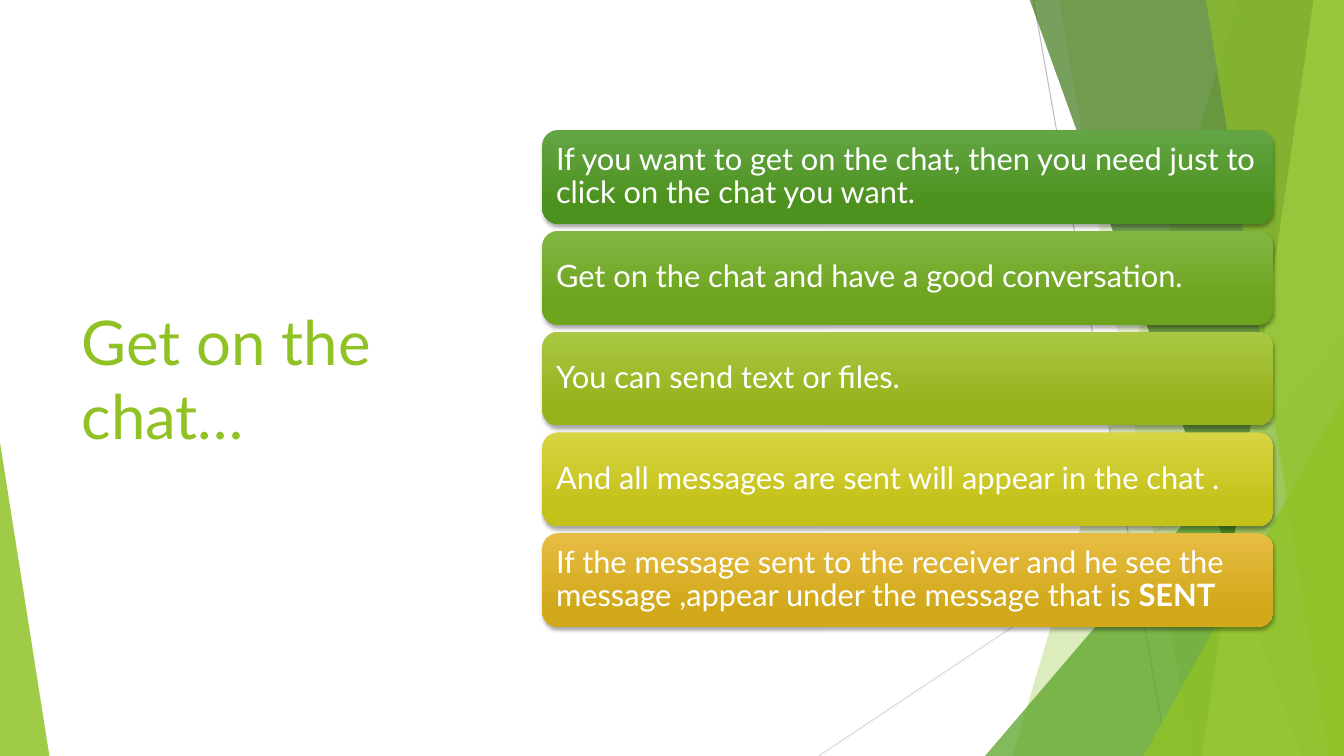
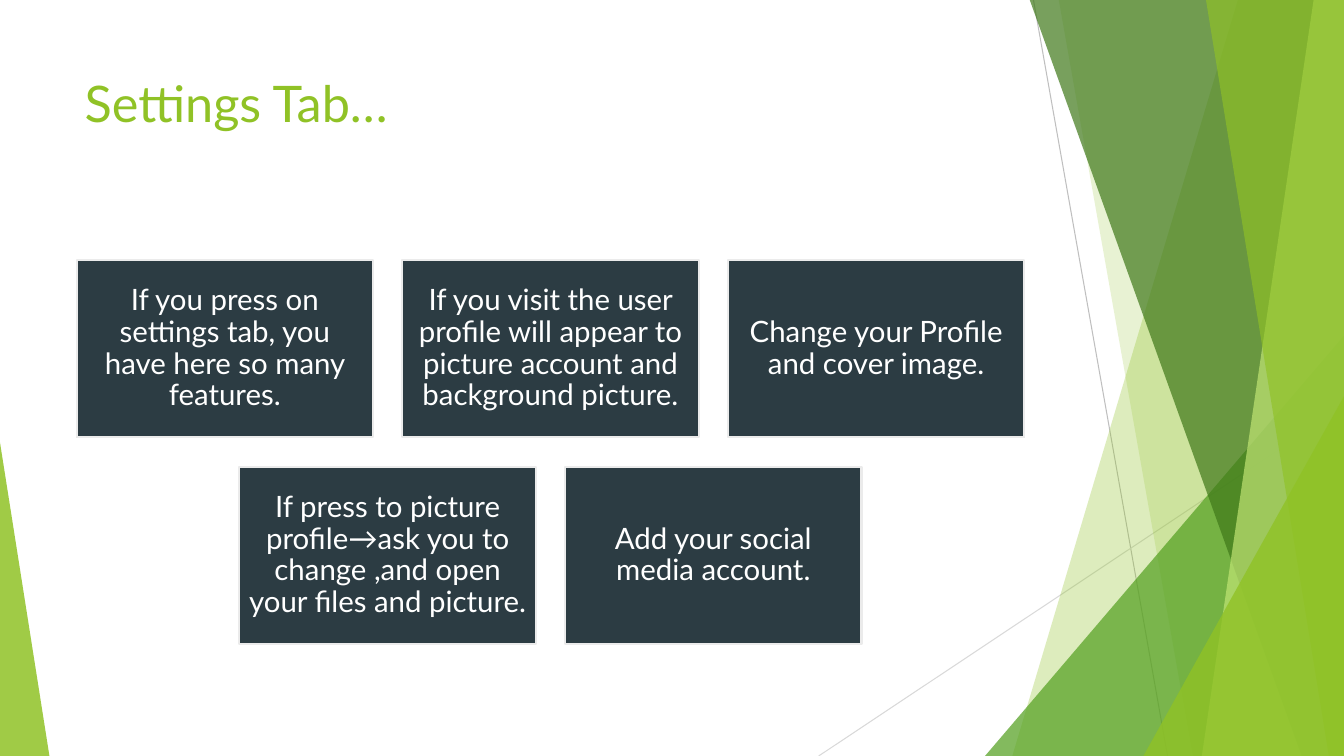
from lxml import etree
from pptx import Presentation
from pptx.dml.color import RGBColor
from pptx.enum import shapes, text
from pptx.oxml import ns
from pptx.util import Inches, Pt

GREEN = "90C226"
WHITE = "FFFFFF"
RIGHT, BOTTOM, BLEED = 13.33, 7.5, -0.01
color = RGBColor.from_string


def paint(shape, fill, opacity):
    shape.shadow.inherit = False
    shape.line.fill.background()
    shape.fill.solid()
    shape.fill.fore_color.rgb = color(fill)
    fill_color = shape.element.spPr.find(".//" + ns.qn("a:srgbClr"))
    etree.SubElement(fill_color, ns.qn("a:alpha")).set("val", str(opacity * 1000))


def write(shape, words, size, fill, align, anchor, bold_end=""):
    frame = shape.text_frame
    frame.word_wrap = True
    frame.auto_size = text.MSO_AUTO_SIZE.NONE
    frame.vertical_anchor = anchor
    paragraph = frame.paragraphs[0]
    paragraph.alignment = align
    paragraph.font.name = "Lato"
    paragraph.font.size = Pt(size)
    paragraph.font.color.rgb = color(fill)
    paragraph.add_run().text = words
    if bold_end:
        run = paragraph.add_run()
        run.text = bold_end
        run.font.bold = True
    return frame


presentation = Presentation()
presentation.slide_width = Inches(RIGHT)
presentation.slide_height = Inches(BOTTOM)
master = presentation.slide_master
layout = presentation.slide_layouts.get_by_name("Title Only")

titles = [
    ("Get on the chat…", 44, (0.71, 1.51, 3.88, 4.48), text.MSO_ANCHOR.MIDDLE),
    ("Settings Tab…", 36, (0.74, 0.67, 9.4, 1.44), text.MSO_ANCHOR.TOP),
]
slides = []
for words, size, box, anchor in titles:
    slide = presentation.slides.add_slide(layout)
    title = slide.shapes.title
    title.left, title.top, title.width, title.height = map(Inches, box)
    write(title, words, size, GREEN, text.PP_ALIGN.LEFT, anchor)
    slides.append(slide)
chat_slide, settings_slide = slides

backdrop = []
hairlines = [(10.25, 0, 11.58, BOTTOM, "BFBFBF"), (RIGHT, 4.03, 8.12, BOTTOM, "D9D9D9")]
for start_x, start_y, end_x, end_y, line_color in hairlines:
    hairline = chat_slide.shapes.add_connector(
        shapes.MSO_CONNECTOR.STRAIGHT,
        Inches(start_x), Inches(start_y), Inches(end_x), Inches(end_y))
    hairline.line.color.rgb = color(line_color)
    hairline.line.width = Pt(0.75)
    etree.SubElement(hairline.element.spPr, ns.qn("a:effectLst"))
    backdrop.append(hairline)

facets = [
    ("band", (12.28, 10.04), GREEN, 30),
    ("band", (10.5, 11.83), GREEN, 20),
    ("triangle", (9.77, 3.33, 3.56, 1), "54A021", 72),
    ("band", (10.21, 12.91), "3F7819", 70),
    ("band", (13.03, 11.92), "C0E474", 70),
    ("band", (11.96, 13.18), GREEN, 65),
    ("triangle", (11.34, 3.93, 1.99, 1), GREEN, 80),
    ("triangle", (0, 4.39, 0.49, 0), GREEN, 85),
]
for kind, geometry, fill, opacity in facets:
    if kind == "band":
        top_x, bottom_x = geometry
        builder = chat_slide.shapes.build_freeform(Inches(top_x), Inches(BLEED))
        corners = [(RIGHT, BLEED), (RIGHT, BOTTOM), (bottom_x, BOTTOM)]
        builder.add_line_segments([(Inches(x), Inches(y)) for x, y in corners])
        facet = builder.convert_to_shape()
    else:
        left, top, width, apex = geometry
        facet = chat_slide.shapes.add_shape(
            shapes.MSO_SHAPE.ISOSCELES_TRIANGLE,
            Inches(left), Inches(top), Inches(width), Inches(BOTTOM - top))
        facet.adjustments[0] = apex
    paint(facet, fill, opacity)
    backdrop.append(facet)

first_backdrop_id, first_master_position = 100, 2
for index, shape in enumerate(backdrop):
    shape.element.xpath(".//p:cNvPr")[0].set("id", str(first_backdrop_id + index))
    master.shapes.element.insert(first_master_position + index, shape.element)

cards = [
    ("If you want to get on the chat, then you need just to click on the chat you want.",
     "", "63A545", "4D921E"),
    ("Get on the chat and have a good conversation.", "", "82B644", "6EA31D"),
    ("You can send text or files.", "", "AAC744", "97B31C"),
    ("And all messages are sent will appear in the chat .", "", "D8D543", "C4C11A"),
    ("If the message sent to the receiver and he see the message ,appear under "
     "the message that is ", "SENT", "E7BC43", "D2A91B"),
]
for row, (words, bold_end, light, dark) in enumerate(cards):
    card = chat_slide.shapes.add_shape(
        shapes.MSO_SHAPE.ROUNDED_RECTANGLE,
        Inches(5.38), Inches(1.29 + row), Inches(7.25), Inches(0.93))
    card.line.fill.background()
    card.fill.gradient()
    card.fill.gradient_angle = 270
    for stop, position, shade in zip(card.fill.gradient_stops, (0, 0.78), (light, dark)):
        stop.position = position
        stop.color.rgb = color(shade)
    card.shadow.inherit = False
    effects = card.element.spPr.find(ns.qn("a:effectLst"))
    shadow = etree.SubElement(effects, ns.qn("a:outerShdw"), blurRad=str(Pt(3)),
                              dist=str(Pt(2)), dir="5400000", rotWithShape="0")
    shadow_color = etree.SubElement(shadow, ns.qn("a:srgbClr"), val="000000")
    etree.SubElement(shadow_color, ns.qn("a:alpha"), val="35000")
    frame = write(card, words, 22, WHITE, text.PP_ALIGN.LEFT, text.MSO_ANCHOR.MIDDLE, bold_end)
    frame.margin_left = frame.margin_right = Inches(0.09)
    frame.paragraphs[0].line_spacing = 0.9

tile_width, tile_height, gap, grid_center = 2.94, 1.76, 0.29, 5.46
tile_rows = [
    ["If you press on settings tab, you have here so many features.",
     "If you visit the user profile will appear to picture account and background picture.",
     "Change your Profile and cover image."],
    ["If press to picture profile→ask you to change ,and open your files and picture.",
     "Add your social media account."],
]
for row, tiles in enumerate(tile_rows):
    row_width = len(tiles) * (tile_width + gap) - gap
    for column, words in enumerate(tiles):
        tile = settings_slide.shapes.add_shape(
            shapes.MSO_SHAPE.RECTANGLE,
            Inches(grid_center - row_width / 2 + column * (tile_width + gap)),
            Inches(2.58 + row * (tile_height + gap)),
            Inches(tile_width), Inches(tile_height))
        paint(tile, "2C3C43", 100)
        tile.line.color.rgb = color("EBEBEB")
        tile.line.width = Pt(1.5)
        frame = write(tile, words, 21, WHITE, text.PP_ALIGN.CENTER, text.MSO_ANCHOR.MIDDLE)
        frame.margin_left = frame.margin_right = Inches(0.09)
        frame.paragraphs[0].line_spacing = 0.9

presentation.save("out.pptx")
